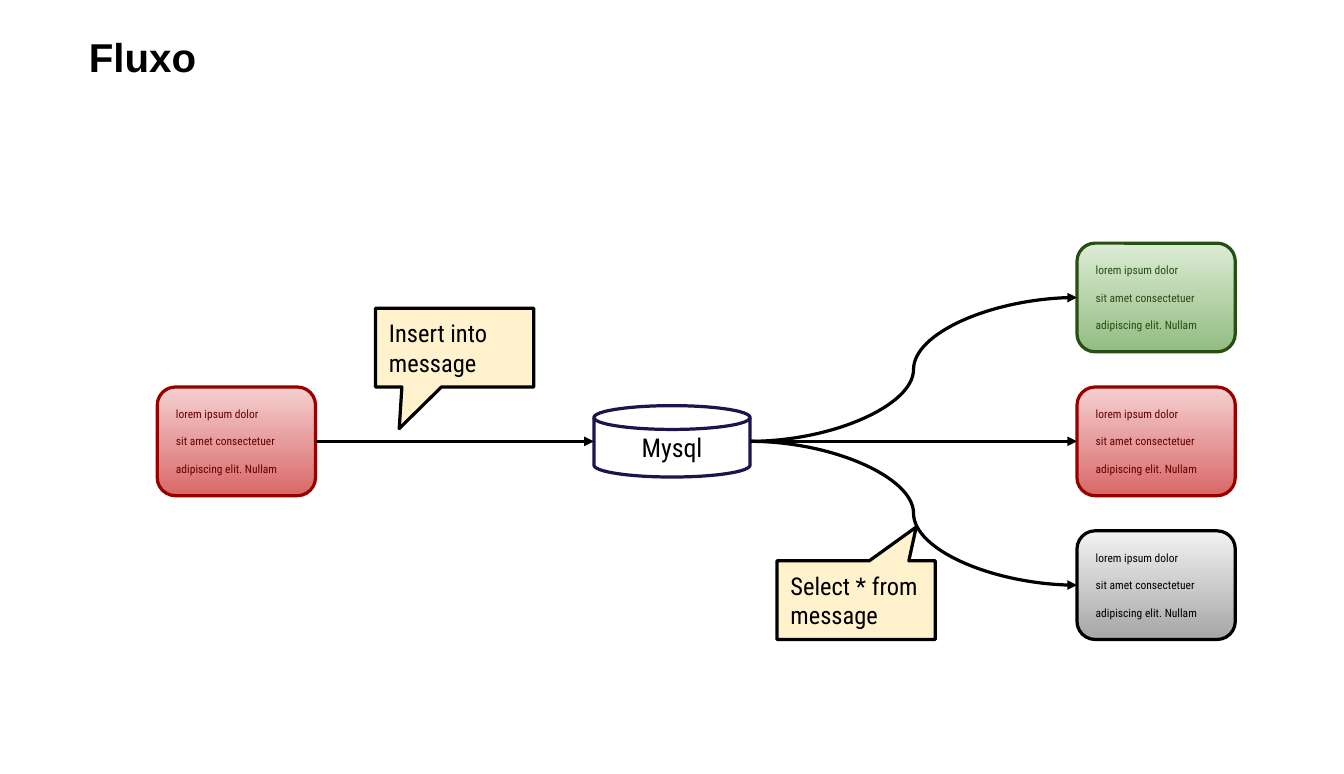
from dataclasses import dataclass

from lxml.etree import SubElement
from pptx import Presentation
from pptx.dml.color import RGBColor as RGB
from pptx.enum.shapes import MSO_CONNECTOR as CONN, MSO_SHAPE as SHAPE
from pptx.enum.text import MSO_ANCHOR, MSO_AUTO_SIZE, PP_ALIGN
from pptx.oxml.ns import qn
from pptx.util import Inches, Pt


@dataclass(frozen=True)
class CardColors:
    top: str
    bottom: str
    line: str
    text: str


@dataclass(frozen=True)
class Theme:
    title_font: str = "Arial"
    body_font: str = "Roboto Condensed"
    title_size: float = 28
    database_size: float = 18
    callout_size: float = 17
    card_size: float = 8
    card_gap: float = 9.7
    line_width: float = 2.25
    ink: str = "000000"
    database_fill: str = "FFFFFF"
    database_line: str = "20124D"
    callout_fill: str = "FFF2CC"
    green: CardColors = CardColors("DCECD5", "93BC81", "274E13", "274E13")
    red: CardColors = CardColors("F5D0D0", "D96868", "980000", "660000")
    gray: CardColors = CardColors("F2F2F2", "A6A6A6", "000000", "000000")


THEME = Theme()
CARD_LINES = ("lorem ipsum dolor", "sit amet consectetuer", "adipiscing elit. Nullam")
BOX_W, CARD_H, CALLOUT_H = 1.53, 1.05, 0.76
SENDER_X, RECEIVER_X = 1.52, 10.41
DATABASE_X, DATABASE_W, DATABASE_H = 5.74, 1.51, 0.69
FLOW_Y, ROW_STEP = 4.265, 1.39


def add_run(p, text, size, color, font=THEME.body_font, bold=False):
    r = p.add_run()
    r.text = text
    r.font.name, r.font.size, r.font.bold = font, Pt(size), bold
    r.font.color.rgb = RGB.from_string(color)


def add_title(slide, text):
    sp = slide.shapes.title
    sp.left, sp.top, sp.width, sp.height = map(Inches, (0.76, 0.26, 12.18, 0.57))
    tf = sp.text_frame
    tf.auto_size, tf.vertical_anchor = MSO_AUTO_SIZE.NONE, MSO_ANCHOR.TOP
    p = tf.paragraphs[0]
    p.alignment = PP_ALIGN.LEFT
    add_run(p, text, THEME.title_size, THEME.ink, THEME.title_font, bold=True)


def add_box(slide, kind, x, y, w, h, line, lines, size, color,
            align=PP_ALIGN.LEFT, gap=0):
    """Add an outlined shape with one paragraph for each line of text."""
    sp = slide.shapes.add_shape(kind, *map(Inches, (x, y, w, h)))
    sp.shadow.inherit = False
    sp.line.color.rgb = RGB.from_string(line)
    sp.line.width = Pt(THEME.line_width)
    tf = sp.text_frame
    tf.word_wrap, tf.vertical_anchor = True, MSO_ANCHOR.MIDDLE
    tf.margin_left = tf.margin_right = tf.margin_top = tf.margin_bottom = Inches(0.13)
    for i, text in enumerate(lines):
        p = tf.add_paragraph() if i else tf.paragraphs[0]
        p.alignment = align
        if i:
            p.space_before = Pt(gap)
        add_run(p, text, size, color)
    return sp


def fill_solid(sp, color):
    sp.fill.solid()
    sp.fill.fore_color.rgb = RGB.from_string(color)


def add_card(slide, x, center_y, colors):
    sp = add_box(slide, SHAPE.ROUNDED_RECTANGLE, x, center_y - CARD_H / 2, BOX_W, CARD_H,
                 colors.line, CARD_LINES, THEME.card_size, colors.text,
                 gap=THEME.card_gap)
    sp.fill.gradient()
    sp.fill.gradient_angle = 270
    for stop, color in zip(sp.fill.gradient_stops, (colors.top, colors.bottom)):
        stop.color.rgb = RGB.from_string(color)


def add_database(slide, text):
    sp = add_box(slide, SHAPE.FLOWCHART_MAGNETIC_DISK, DATABASE_X, FLOW_Y - DATABASE_H / 2,
                 DATABASE_W, DATABASE_H, THEME.database_line, [text],
                 THEME.database_size, THEME.ink, PP_ALIGN.CENTER)
    fill_solid(sp, THEME.database_fill)


def add_callout(slide, x, y, text, tip):
    """Add a square-cornered callout; tip is relative to its centre and size."""
    sp = add_box(slide, SHAPE.ROUNDED_RECTANGULAR_CALLOUT, x, y, BOX_W, CALLOUT_H,
                 THEME.ink, [text], THEME.callout_size, THEME.ink)
    fill_solid(sp, THEME.callout_fill)
    for i, value in enumerate((*tip, 0)):
        sp.adjustments[i] = value


def add_arrow(slide, x1, y1, x2, y2):
    """Add an arrow that is straight when level and curved otherwise."""
    kind = CONN.STRAIGHT if y1 == y2 else CONN.CURVE
    line = slide.shapes.add_connector(kind, *map(Inches, (x1, y1, x2, y2)))
    line.line.color.rgb = RGB.from_string(THEME.ink)
    line.line.width = Pt(THEME.line_width)
    SubElement(line.line._get_or_add_ln(), qn("a:tailEnd"), type="triangle")
    SubElement(line._element.spPr, qn("a:effectLst"))


def main():
    prs = Presentation()
    prs.slide_width, prs.slide_height = Inches(12.99), Inches(7.48)
    slide = prs.slides.add_slide(prs.slide_layouts[5])
    add_title(slide, "Fluxo")

    add_card(slide, SENDER_X, FLOW_Y, THEME.red)
    add_database(slide, "Mysql")
    add_arrow(slide, SENDER_X + BOX_W, FLOW_Y, DATABASE_X, FLOW_Y)
    for row, colors in enumerate((THEME.green, THEME.red, THEME.gray), start=-1):
        y = FLOW_Y + row * ROW_STEP
        add_card(slide, RECEIVER_X, y, colors)
        add_arrow(slide, DATABASE_X + DATABASE_W, FLOW_Y, RECEIVER_X, y)

    add_callout(slide, 3.63, 2.98, "Insert into message", (-0.35, 1.03))
    add_callout(slide, 7.51, 5.42, "Select * from message", (0.38, -0.93))
    prs.save("out.pptx")


if __name__ == "__main__":
    main()
